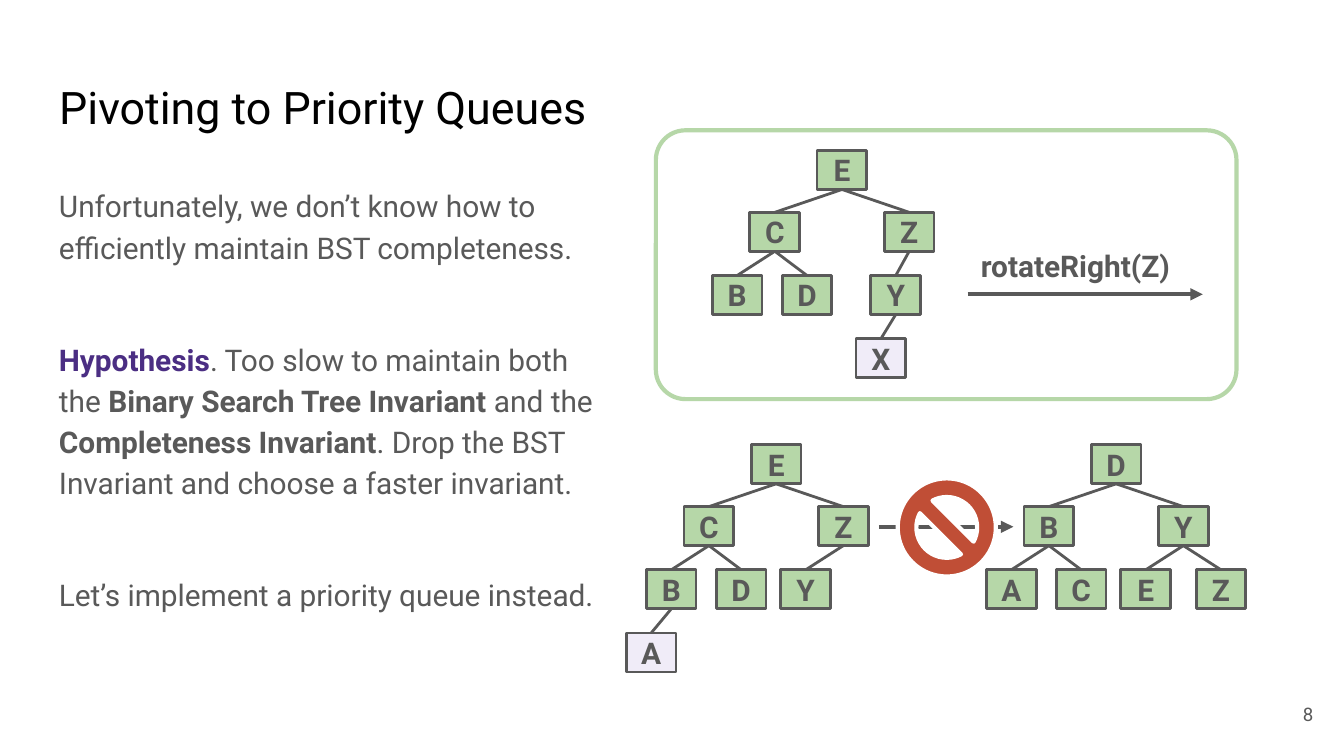
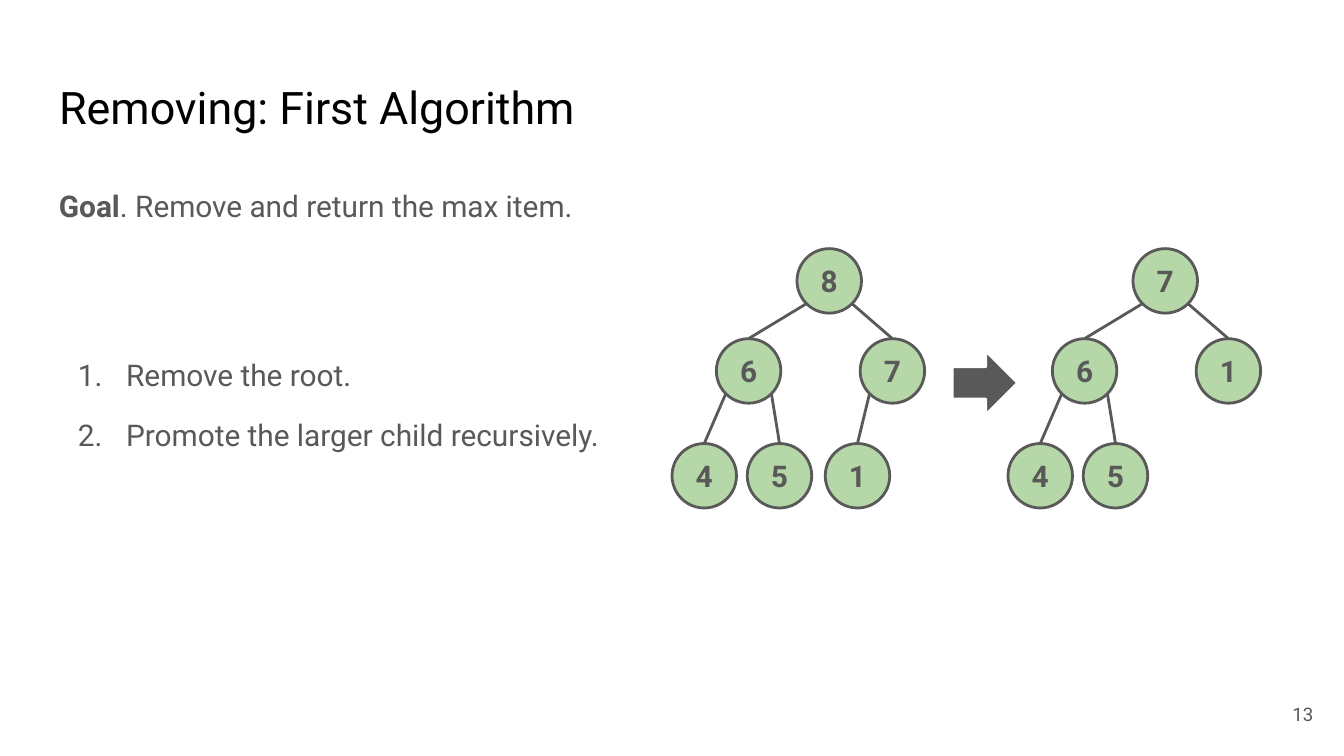
from lxml import etree
from pptx import Presentation
from pptx import util as u
from pptx.dml.color import RGBColor
from pptx.enum import shapes, text
from pptx.oxml import ns

# Shared style
FONT = "Roboto"
BLACK = RGBColor(0x00, 0x00, 0x00)
WHITE = RGBColor(0xFF, 0xFF, 0xFF)
GRAY = RGBColor(0x59, 0x59, 0x59)
PURPLE = RGBColor(0x4B, 0x2E, 0x83)
GREEN = RGBColor(0xB6, 0xD7, 0xA8)
LILAC = RGBColor(0xF0, 0xEC, 0xF8)
RED = RGBColor(0xC0, 0x4E, 0x36)

SHAPE = shapes.MSO_SHAPE
ALIGN = text.PP_ALIGN
ANCHOR = text.MSO_ANCHOR
TITLE_ONLY = 5
PAGE_WIDTH = 10
PAGE_HEIGHT = PAGE_WIDTH * 9 / 16

# Tree styles: node size, level tops below the root, where edges leave a parent
BOX_TREE = dict(kind=SHAPE.RECTANGLE, size=(0.37, 0.29),
                levels=(0, 0.46, 0.93, 1.4), leave=(0, 0.29))
CIRCLE_TREE = dict(kind=SHAPE.OVAL, size=(0.48, 0.48),
                   levels=(0, 0.67, 1.45), leave=(0.17, 0.41))

# Trees: label -> (parent, level, offset from the root)
UNBALANCED = {"E": (None, 0, 0), "C": ("E", 1, -0.5), "Z": ("E", 1, 0.5),
              "B": ("C", 2, -0.78), "D": ("C", 2, -0.26),
              "Y": ("Z", 2, 0.4), "X": ("Y", 3, 0.29)}
BEFORE_INSERT = {"E": (None, 0, 0), "C": ("E", 1, -0.5), "Z": ("E", 1, 0.5),
                 "B": ("C", 2, -0.78), "D": ("C", 2, -0.26),
                 "Y": ("Z", 2, 0.22), "A": ("B", 3, -0.93)}
COMPLETE = {"D": (None, 0, 0), "B": ("D", 1, -0.5), "Y": ("D", 1, 0.5),
            "A": ("B", 2, -0.78), "C": ("B", 2, -0.26),
            "E": ("Y", 2, 0.22), "Z": ("Y", 2, 0.78)}
HEAP = {"8": (None, 0, 0), "6": ("8", 1, -0.6), "7": ("8", 1, 0.47),
        "4": ("6", 2, -0.93), "5": ("6", 2, -0.37), "1": ("7", 2, 0.21)}
HEAP_AFTER = {"7": (None, 0, 0), "6": ("7", 1, -0.6), "1": ("7", 1, 0.47),
              "4": ("6", 2, -0.93), "5": ("6", 2, -0.37)}


def write(frame, content, size=16, color=GRAY, bold=False, align=ALIGN.LEFT,
          spacing=1.0, before=0, numbered=False):
    """Add a paragraph; content is a string or (text, bold, color) runs."""
    first = frame.paragraphs[0]
    para = frame.add_paragraph() if first.runs else first
    para.alignment = align
    para.line_spacing = spacing
    para.space_before = u.Pt(before)
    if numbered:
        props = para._p.get_or_add_pPr()
        props.set("marL", str(u.Inches(0.5)))
        props.set("indent", str(u.Inches(-0.36)))
        etree.SubElement(props, ns.qn("a:buAutoNum"), type="arabicPeriod")
    runs = [(content, bold, color)] if isinstance(content, str) else content
    for words, run_bold, run_color in runs:
        run = para.add_run()
        run.text = words
        run.font.name = FONT
        run.font.size = u.Pt(size)
        run.font.bold = run_bold
        run.font.color.rgb = run_color


def set_frame(frame, inset=0.1, anchor=ANCHOR.TOP):
    frame.word_wrap = True
    frame.auto_size = text.MSO_AUTO_SIZE.NONE
    frame.vertical_anchor = anchor
    frame.margin_left = frame.margin_right = u.Inches(inset)
    frame.margin_top = frame.margin_bottom = u.Inches(inset)
    return frame


def add_text_box(slide, left, top, width, height, anchor=ANCHOR.TOP):
    box = slide.shapes.add_textbox(*map(u.Inches, (left, top, width, height)))
    return set_frame(box.text_frame, anchor=anchor)


def add_shape(slide, kind, left, top, width, height, fill, line, weight,
              adjust=None):
    shape = slide.shapes.add_shape(
        kind, *map(u.Inches, (left, top, width, height)))
    shape.shadow.inherit = False
    if fill is None:
        shape.fill.background()
    else:
        shape.fill.solid()
        shape.fill.fore_color.rgb = fill
    shape.line.color.rgb = line
    shape.line.width = u.Pt(weight)
    if adjust is not None:
        shape.adjustments[0] = adjust
    return shape


def add_line(slide, x1, y1, x2, y2, weight=1.5, arrow=False):
    line = slide.shapes.add_connector(
        shapes.MSO_CONNECTOR.STRAIGHT, *map(u.Inches, (x1, y1, x2, y2)))
    line.line.color.rgb = GRAY
    line.line.width = u.Pt(weight)
    props = line._element.spPr
    if arrow:
        etree.SubElement(props.find(ns.qn("a:ln")), ns.qn("a:tailEnd"),
                         type="triangle")
    etree.SubElement(props, ns.qn("a:effectLst"))


def add_tree(slide, tree, left, top, kind, size, levels, leave, new_key=None):
    """Draw a tree whose root node has its corner at left, top."""
    width, height = size
    middle = left + width / 2
    for label, (parent, level, offset) in tree.items():
        node_top = top + levels[level]
        if parent:
            _, parent_level, parent_offset = tree[parent]
            side = leave[0] if offset > parent_offset else -leave[0]
            add_line(slide, middle + parent_offset + side,
                     top + levels[parent_level] + leave[1],
                     middle + offset, node_top)
        fill = LILAC if label == new_key else GREEN
        node = add_shape(slide, kind, left + offset, node_top, width, height,
                         fill, GRAY, 1.5)
        write(set_frame(node.text_frame, 0, ANCHOR.MIDDLE), label, bold=True,
              align=ALIGN.CENTER)


def add_slide(deck, title, number):
    """Add a slide with title and page number; return it and its body frame."""
    slide = deck.slides.add_slide(deck.slide_layouts[TITLE_ONLY])
    heading = slide.shapes.title
    heading.left, heading.top = u.Inches(0.34), u.Inches(0.49)
    heading.width, heading.height = u.Inches(4.32), u.Inches(0.63)
    write(set_frame(heading.text_frame), title, size=24, color=BLACK)
    body = add_text_box(slide, 0.34, 1.26, 4.32, 3.74)
    page = add_text_box(slide, 9.27, 5.1, 0.6, 0.43, ANCHOR.MIDDLE)
    write(page, str(number), size=10, align=ALIGN.RIGHT)
    return slide, body


def build_pivoting(deck):
    slide, body = add_slide(deck, "Pivoting to Priority Queues", 8)
    write(body, "Unfortunately, we don’t know how to efficiently maintain "
                "BST completeness.", spacing=1.15)
    write(body, [
        ("Hypothesis", True, PURPLE),
        (". Too slow to maintain both the ", False, GRAY),
        ("Binary Search Tree Invariant", True, GRAY),
        (" and the ", False, GRAY),
        ("Completeness Invariant", True, GRAY),
        (". Drop the BST Invariant and choose a faster invariant.",
         False, GRAY),
    ], spacing=1.15, before=38)
    write(body, "Let’s implement a priority queue instead.", spacing=1.15,
          before=38)

    # Rotation that would be needed
    add_line(slide, 7.2, 2.19, 8.95, 2.19, weight=2.25, arrow=True)
    write(add_text_box(slide, 7.2, 1.74, 1.74, 0.45), "rotateRight(Z)",
          bold=True)
    add_tree(slide, UNBALANCED, 6.08, 1.12, new_key="X", **BOX_TREE)

    # Insertion with no quick path to a complete tree
    add_tree(slide, BEFORE_INSERT, 5.59, 3.31, new_key="A", **BOX_TREE)
    add_tree(slide, COMPLETE, 8.12, 3.31, **BOX_TREE)
    add_line(slide, 6.54, 3.92, 7.54, 3.92, weight=2.25, arrow=True)
    add_shape(slide, SHAPE.NO_SYMBOL, 6.68, 3.56, 0.73, 0.73, RED, WHITE, 2.25,
              adjust=0.19)

    # Frame around the rotation
    add_shape(slide, SHAPE.ROUNDED_RECTANGLE, 4.88, 0.97, 4.32, 2, None, GREEN,
              2.25, adjust=0.11)


def build_removing(deck):
    slide, body = add_slide(deck, "Removing: First Algorithm", 13)
    write(body, [("Goal", True, GRAY),
                 (". Remove and return the max item.", False, GRAY)],
          spacing=1.15)
    write(body, "Remove the root.", spacing=1.15, before=68.5, numbered=True)
    write(body, "Promote the larger child recursively.", spacing=1.15,
          before=10, numbered=True)

    # Heap before and after removal
    add_tree(slide, HEAP, 5.93, 1.85, **CIRCLE_TREE)
    add_tree(slide, HEAP_AFTER, 8.43, 1.85, **CIRCLE_TREE)
    add_shape(slide, SHAPE.RIGHT_ARROW, 7.08, 2.6, 0.5, 0.5, GRAY, WHITE, 2.25)


def main():
    deck = Presentation()
    deck.slide_width = u.Inches(PAGE_WIDTH)
    deck.slide_height = u.Inches(PAGE_HEIGHT)
    build_pivoting(deck)
    build_removing(deck)
    deck.save("out.pptx")


if __name__ == "__main__":
    main()
